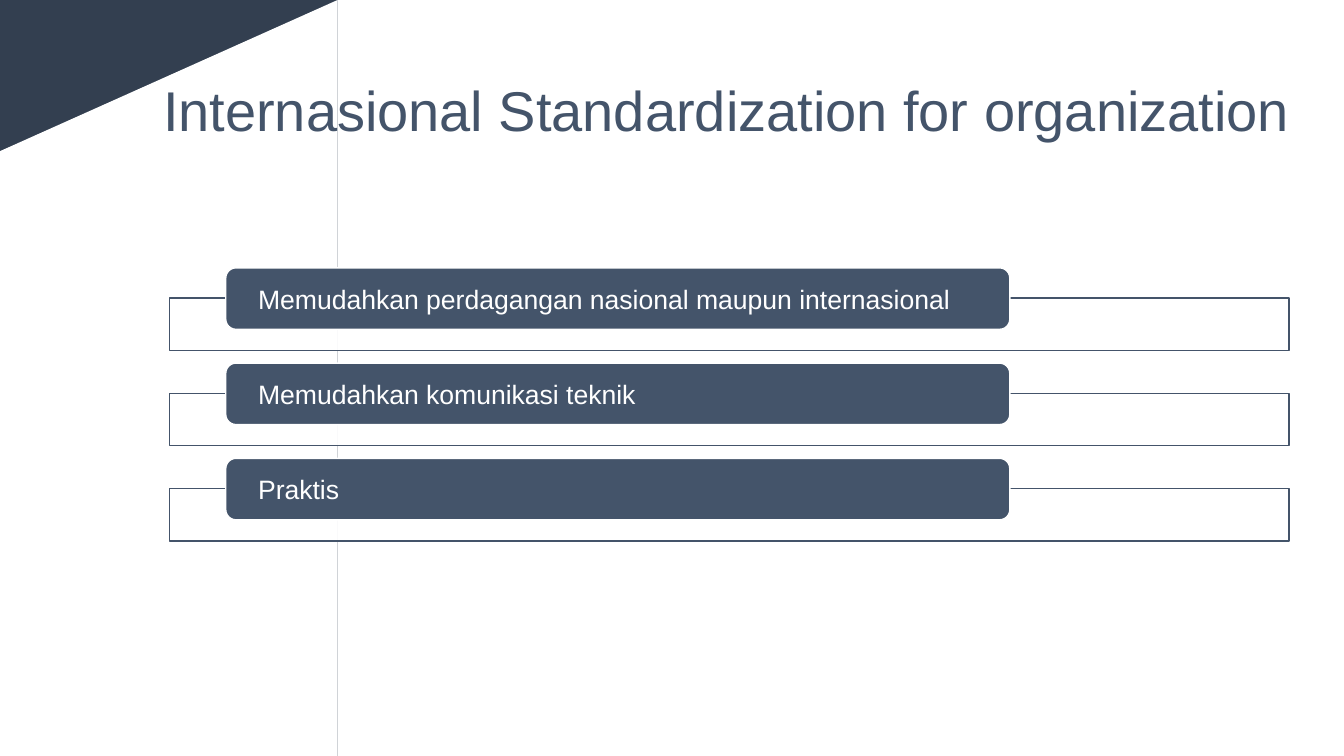
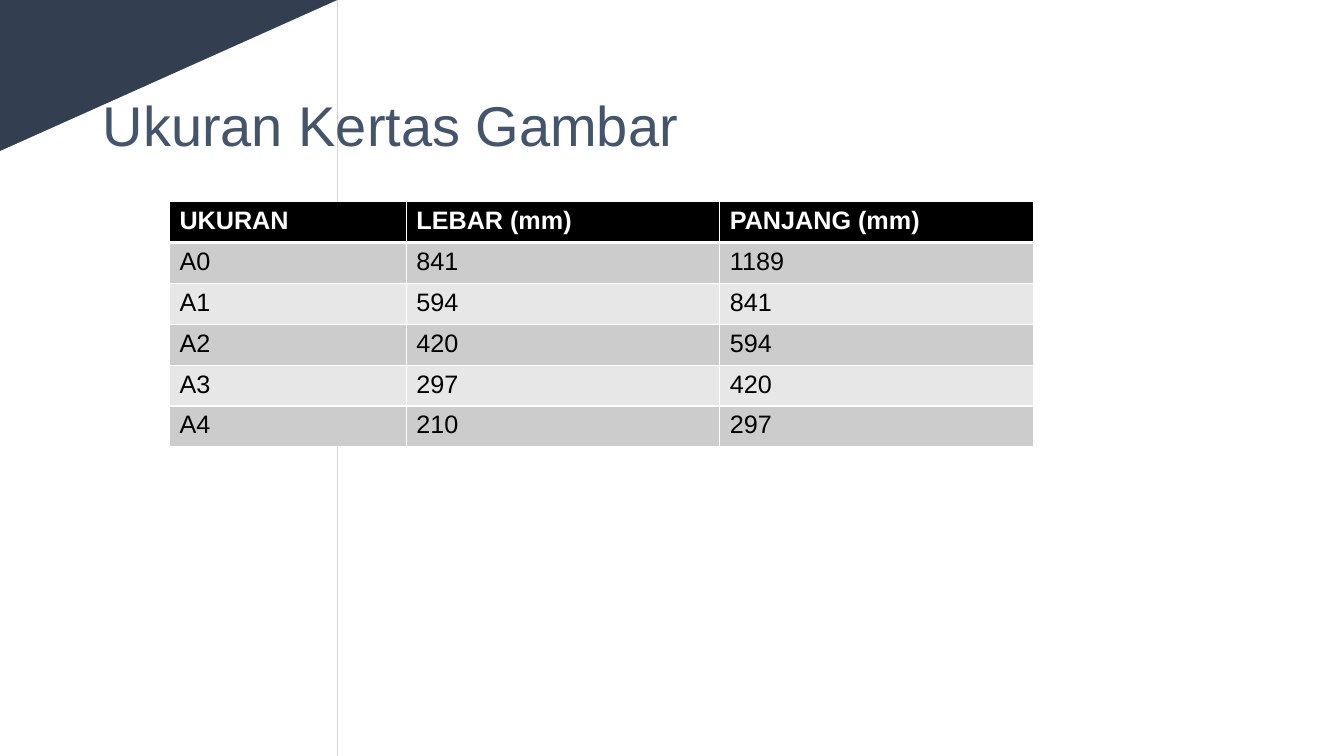
from lxml import etree
from pptx import Presentation
from pptx import util as u
from pptx.dml.color import RGBColor
from pptx.enum import shapes, text
from pptx.oxml import ns

COLORS = {"navy": "333F50", "slate": "44546A", "white": "FFFFFF",
          "black": "000000", "dark_band": "CCCCCC", "light_band": "E7E7E7"}
SHAPE = shapes.MSO_SHAPE
WIDTH, HEIGHT = 33.87, 19.05


def rgb(name):
    return RGBColor.from_string(COLORS[name])


def write(tf, words, size=18, color="black", bold=False, spacing=1.0):
    p = tf.paragraphs[0]
    p.alignment = text.PP_ALIGN.LEFT
    p.line_spacing = spacing
    r = p.add_run()
    r.text = words
    r.font.name, r.font.size, r.font.bold = "Arial", u.Pt(size), bold
    r.font.color.rgb = rgb(color)


class Deck:
    """Holds the shared style and the slide being built."""

    def __init__(self):
        self.prs = Presentation()
        self.prs.slide_width, self.prs.slide_height = u.Cm(WIDTH), u.Cm(HEIGHT)

    def slide(self, title, x, y, w):
        self.s = self.prs.slides.add_slide(self.prs.slide_layouts[6])
        fill = self.s.background.fill
        fill.solid()
        fill.fore_color.rgb = rgb("navy")
        corner = 8.51
        self.shape(SHAPE.RECTANGLE, corner, 0, WIDTH - corner, HEIGHT, "white")
        self.shape(SHAPE.FLOWCHART_MANUAL_INPUT, 0, 0, corner, HEIGHT, "white")
        tf = self.s.shapes.add_textbox(u.Cm(x), u.Cm(y), u.Cm(w), u.Cm(3.68)).text_frame
        tf.word_wrap = True
        tf.vertical_anchor = text.MSO_ANCHOR.MIDDLE
        write(tf, title, size=40, color="slate", spacing=0.9)

    def shape(self, kind, x, y, w, h, fill, line=None, alpha=None):
        sp = self.s.shapes.add_shape(kind, u.Cm(x), u.Cm(y), u.Cm(w), u.Cm(h))
        sp.shadow.inherit = False
        sp.fill.solid()
        sp.fill.fore_color.rgb = rgb(fill)
        if alpha:
            color = sp.fill._xPr.find(ns.qn("a:solidFill"))[0]
            etree.SubElement(color, ns.qn("a:alpha"), val=str(alpha * 1000))
        if line:
            sp.line.color.rgb = rgb(line)
            sp.line.width = u.Pt(1)
        else:
            sp.line.fill.background()
        return sp

    def item(self, words, y):
        self.shape(SHAPE.RECTANGLE, 4.27, y + 0.76, 28.22, 1.32, "white", "slate", alpha=90)
        tab = self.shape(SHAPE.ROUNDED_RECTANGLE, 5.69, y, 19.76, 1.55, "slate", "white")
        tf = tab.text_frame
        tf.word_wrap = True
        tf.vertical_anchor = text.MSO_ANCHOR.MIDDLE
        tf.margin_left = tf.margin_right = u.Cm(0.74)
        tf.margin_top = tf.margin_bottom = 0
        write(tf, words, size=19, color="white")

    def border(self, cell, **widths):
        tcPr = cell._tc.get_or_add_tcPr()
        for i, (side, width) in enumerate(widths.items()):
            ln = etree.Element(ns.qn("a:" + side), w=str(u.Pt(width)))
            fill = etree.SubElement(ln, ns.qn("a:solidFill"))
            etree.SubElement(fill, ns.qn("a:srgbClr"), val=COLORS["white"])
            tcPr.insert(i, ln)

    def table(self, rows, x, y, widths, row_height):
        tbl = self.s.shapes.add_table(len(rows), len(widths), u.Cm(x), u.Cm(y),
                                      u.Cm(sum(widths)), u.Cm(row_height * len(rows))).table
        tbl.horz_banding = False
        for column, width in zip(tbl.columns, widths):
            column.width = u.Cm(width)
        for i, row in enumerate(rows):
            head = i == 0
            band = "black" if head else "dark_band" if i % 2 else "light_band"
            for j, words in enumerate(row):
                cell = tbl.cell(i, j)
                cell.fill.solid()
                cell.fill.fore_color.rgb = rgb(band)
                self.border(cell, lnL=1, lnR=1, lnT=3 if i == 1 else 1, lnB=3 if head else 1)
                write(cell.text_frame, words, color="white" if head else "black", bold=head)


deck = Deck()

deck.slide("Internasional Standardization for organization", 3.86, 1.02, 29.06)
benefits = ["Memudahkan perdagangan nasional maupun internasional",
            "Memudahkan komunikasi teknik", "Praktis"]
for n, benefit in enumerate(benefits):
    deck.item(benefit, 6.75 + 2.4 * n)

deck.slide("Ukuran Kertas Gambar", 2.34, 1.4, 29.21)
paper_sizes = [("UKURAN", "LEBAR (mm)", "PANJANG (mm)"),
               ("A0", "841", "1189"), ("A1", "594", "841"), ("A2", "420", "594"),
               ("A3", "297", "420"), ("A4", "210", "297")]
deck.table(paper_sizes, 4.27, 5.08, [5.97, 7.9, 7.9], 1.03)

deck.prs.save("out.pptx")
